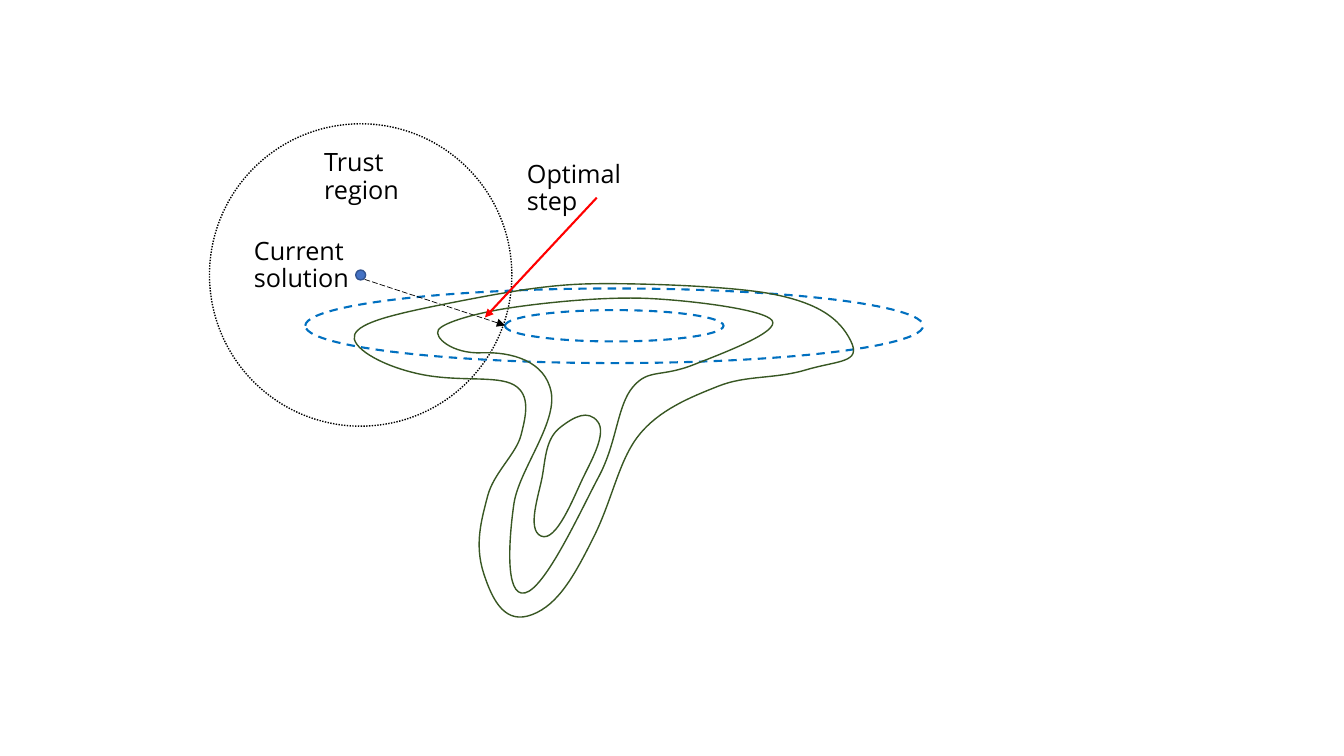
from dataclasses import dataclass
from lxml.etree import SubElement
from pptx import Presentation
from pptx.dml.color import RGBColor
from pptx.enum.dml import MSO_LINE
from pptx.enum.shapes import MSO_CONNECTOR, MSO_SHAPE
from pptx.enum.text import MSO_ANCHOR, MSO_AUTO_SIZE, PP_ALIGN
from pptx.oxml.ns import qn
from pptx.util import Cm, Pt


@dataclass(frozen=True)
class Theme:
    """Colours, font and sizes of the slide."""
    black: str = "000000"
    white: str = "FFFFFF"
    blue: str = "4472C4"
    navy: str = "325491"
    model: str = "0070C0"
    green: str = "385723"
    red: str = "FF0000"
    font: str = "Open Sans"
    size: float = 18
    hair: float = 0.5
    thin: float = 1
    bold: float = 1.5


THEME = Theme()

# Contour nodes in cm: x, y and the outgoing handle dx, dy.
# The incoming handle is its mirror, which keeps each node smooth.
OUTER = [
    (8.94, 8.43, 0.13, -0.3), (11.28, 7.65, 1.42, -0.28),
    (14.66, 7.16, 0.99, -0.04), (19.51, 7.42, 1.13, 0.23),
    (21.44, 8.59, 0.28, 0.56), (20.32, 9.32, -0.81, 0.24),
    (18.11, 9.73, -0.71, 0.28), (16.1, 10.97, -0.51, 0.64),
    (14.96, 13.54, -0.48, 0.96), (13.41, 15.49, -0.66, 0.25),
    (12.19, 14.45, -0.24, -0.74), (12.29, 12.5, 0.15, -0.58),
    (13.13, 10.97, 0.12, -0.47), (12.95, 9.7, -0.44, -0.25),
    (10.54, 9.42, -0.99, -0.22),
]
MIDDLE = [
    (11.05, 8.31, 0.13, -0.19), (12.9, 7.75, 0.88, -0.13),
    (16.33, 7.52, 1.09, 0.05), (19.46, 8.08, 0.18, 0.28),
    (17.48, 9.19, -0.84, 0.33), (15.95, 9.75, -0.4, 0.47),
    (15.09, 12.01, -0.46, 0.86), (13.23, 14.94, -0.52, 0.12),
    (12.95, 12.7, 0.12, -0.84), (13.89, 9.88, -0.15, -0.79),
    (12.14, 8.89, -0.74, 0.03),
]
INNER = [
    (14.12, 10.77, 0.36, -0.28), (15.06, 10.62, 0.24, 0.3),
    (14.68, 12.07, -0.23, 0.48), (13.64, 13.51, -0.38, -0.16),
    (13.67, 11.99, 0.08, -0.46),
]


def paint(shape, fill=None):
    """Give a shape a plain fill or none."""
    if fill:
        shape.fill.solid()
        shape.fill.fore_color.rgb = RGBColor.from_string(fill)
    else:
        shape.fill.background()


def stroke(shape, color, width, dash=None):
    """Set the line colour, width and dash of a shape."""
    shape.line.color.rgb = RGBColor.from_string(color)
    shape.line.width = Pt(width)
    if dash:
        shape.line.dash_style = dash


def oval(slide, mid, width, height, color, weight, dash=None, fill=None):
    """Draw an ellipse around its centre."""
    x, y = mid
    shape = slide.shapes.add_shape(
        MSO_SHAPE.OVAL, Cm(x - width / 2), Cm(y - height / 2),
        Cm(width), Cm(height))
    shape.shadow.inherit = False
    paint(shape, fill)
    stroke(shape, color, weight, dash)


def arrow(slide, start, end, color, weight, dash=None):
    """Draw a line with a triangle at its end."""
    line = slide.shapes.add_connector(
        MSO_CONNECTOR.STRAIGHT, *map(Cm, start + end))
    stroke(line, color, weight, dash)
    props = line.element.spPr
    SubElement(props.find(qn("a:ln")), qn("a:tailEnd"), type="triangle")
    SubElement(props, qn("a:effectLst"))


def bezier(nodes):
    """Turn the nodes into cubic pieces of four points each."""
    pieces = []
    for (x, y, dx, dy), (u, v, du, dv) in zip(nodes, nodes[1:] + nodes[:1]):
        pieces.append([(x, y), (x + dx, y + dy), (u - du, v - dv), (u, v)])
    return pieces


def point(piece, t):
    """Find the point at t on a cubic piece."""
    s = 1 - t
    parts = (s ** 3, 3 * s * s * t, 3 * s * t * t, t ** 3)
    return tuple(Cm(sum(k * p[i] for k, p in zip(parts, piece)))
                 for i in (0, 1))


def contour(slide, nodes, steps=12):
    """Draw a smooth closed level line; samples set its bounds."""
    pieces = bezier(nodes)
    dots = [point(p, n / steps) for p in pieces for n in range(steps)]
    maker = slide.shapes.build_freeform(*dots[0])
    maker.add_line_segments(dots[1:], close=True)
    shape = maker.convert_to_shape()
    shape.shadow.inherit = False
    paint(shape)
    stroke(shape, THEME.green, THEME.thin)

    track = next(shape.element.iter(qn("a:path")))
    for item in track.findall(qn("a:lnTo")) + track.findall(qn("a:close")):
        track.remove(item)
    for piece in pieces:
        curve = SubElement(track, qn("a:cubicBezTo"))
        for x, y in piece[1:]:
            SubElement(curve, qn("a:pt"), x=str(Cm(x) - shape.left),
                       y=str(Cm(y) - shape.top))
    SubElement(track, qn("a:close"))


def label(slide, text, left, top, width, height=1.02, fill=None,
          color=THEME.black, size=THEME.size, space=0.9):
    """Write a wrapped text label."""
    box = slide.shapes.add_textbox(Cm(left), Cm(top), Cm(width), Cm(height))
    paint(box, fill)
    frame = box.text_frame
    frame.word_wrap = True
    frame.auto_size = MSO_AUTO_SIZE.NONE
    frame.vertical_anchor = MSO_ANCHOR.TOP
    para = frame.paragraphs[0]
    para.alignment = PP_ALIGN.LEFT
    para.line_spacing = space
    run = para.add_run()
    run.text = text
    run.font.name = THEME.font
    run.font.size = Pt(size)
    run.font.color.rgb = RGBColor.from_string(color)


def main():
    """Build the trust region slide."""
    deck = Presentation()
    deck.slide_width, deck.slide_height = Cm(33.87), Cm(19.05)
    slide = deck.slides.add_slide(deck.slide_layouts[6])

    now, goal = (9.09, 6.93), (15.48, 8.21)
    oval(slide, now, 7.62, 7.62, THEME.black, THEME.thin, MSO_LINE.ROUND_DOT)
    oval(slide, now, 0.25, 0.25, THEME.navy, THEME.thin, fill=THEME.blue)
    for width, height in ((5.51, 0.79), (15.57, 1.88)):
        oval(slide, goal, width, height, THEME.model, THEME.bold,
             MSO_LINE.DASH)
    arrow(slide, (9.19, 7.04), (12.73, 8.2), THEME.black, THEME.hair,
          MSO_LINE.LONG_DASH)
    for nodes in (OUTER, MIDDLE, INNER):
        contour(slide, nodes)

    label(slide, "Trust region", 7.92, 3.66, 3.76)
    label(slide, "Current solution", 6.15, 5.89, 4.88)
    arrow(slide, (15.04, 4.98), (12.22, 8), THEME.red, THEME.bold)
    label(slide, "Optimal step", 13.03, 3.94, 3.99, fill=THEME.white)

    deck.save("out.pptx")


main()
